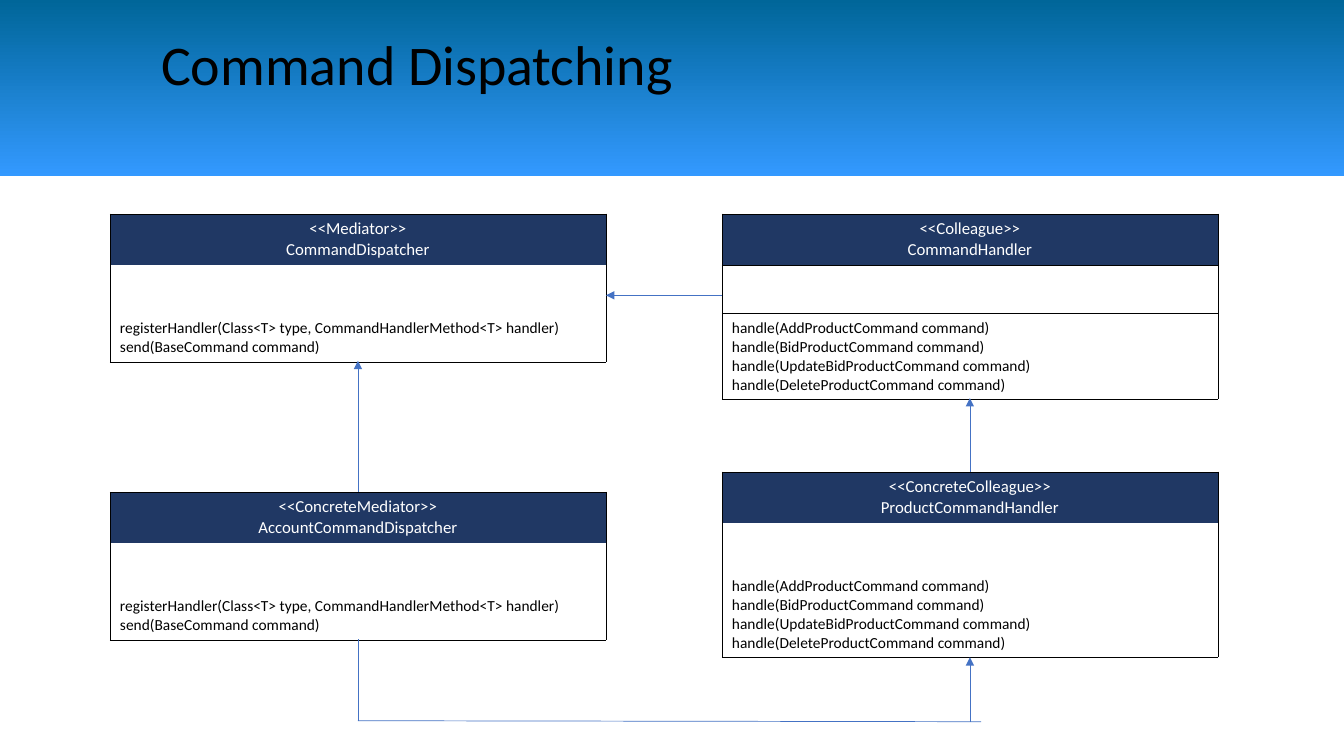
from dataclasses import dataclass

from lxml import etree
from pptx import Presentation
from pptx.dml.color import RGBColor
from pptx.enum.shapes import MSO_CONNECTOR, MSO_SHAPE
from pptx.enum.text import PP_ALIGN
from pptx.oxml import parse_xml
from pptx.oxml.ns import nsdecls, qn
from pptx.util import Inches, Pt

RECT = MSO_SHAPE.RECTANGLE
STRAIGHT = MSO_CONNECTOR.STRAIGHT
LEFT, CENTER = PP_ALIGN.LEFT, PP_ALIGN.CENTER


@dataclass(frozen=True)
class Theme:
    font: str = "Calibri"
    black: str = "000000"
    white: str = "FFFFFF"
    header: str = "203864"
    arrow: str = "4472C4"
    band_top: str = "006699"
    band_bottom: str = "3399FF"
    title_size: int = 40
    header_size: int = 12
    method_size: int = 11
    border_width: float = 0.06
    arrow_width: float = 0.5


THEME = Theme()

# Class boxes: shared width, compartment heights and columns
BOX_W = 4.92
HEADER_H, FIELDS_H = 0.51, 0.48
LEFT_X, RIGHT_X = 1.09, 7.16
LEFT_MID, RIGHT_MID = LEFT_X + BOX_W / 2, RIGHT_X + BOX_W / 2
DISPATCH_METHODS = [
    "registerHandler(Class<T> type, CommandHandlerMethod<T> handler)",
    "send(BaseCommand command)",
]
HANDLE_METHODS = [
    f"handle({action}ProductCommand command)"
    for action in ("Add", "Bid", "UpdateBid", "Delete")
]


def write_text(tf, lines, size, color, align=LEFT, spacing=None):
    for i, line in enumerate(lines):
        p = tf.paragraphs[0] if i == 0 else tf.add_paragraph()
        p.alignment = align
        if spacing:
            p.line_spacing = spacing
        r = p.add_run()
        r.text = line
        r.font.name = THEME.font
        r.font.size = Pt(size)
        r.font.color.rgb = RGBColor.from_string(color)


def add_band(slide, width, height):
    sp = slide.shapes.add_shape(RECT, 0, 0, width, height)
    sp.shadow.inherit = False
    sp.line.fill.background()
    sp.fill.gradient()
    sp.fill.gradient_angle = 90
    for stop, color in zip(sp.fill.gradient_stops,
                           (THEME.band_bottom, THEME.band_top)):
        stop.color.rgb = RGBColor.from_string(color)


def add_title(slide, text):
    sp = slide.shapes.add_textbox(Inches(1.5), Inches(0.32),
                                  Inches(10.82), Inches(1.13))
    tf = sp.text_frame
    tf.word_wrap = True
    write_text(tf, [text], THEME.title_size, THEME.black, spacing=0.9)


def set_borders(cell, sides):
    """Draw the named sides (L, R, T, B) and clear the others."""
    tc_pr = cell._tc.get_or_add_tcPr()
    for i, side in enumerate("LRTB"):
        fill = (f'<a:solidFill><a:srgbClr val="{THEME.black}"/></a:solidFill>'
                if side in sides else "<a:noFill/>")
        tc_pr.insert(i, parse_xml(
            f'<a:ln{side} {nsdecls("a")} w="{Pt(THEME.border_width)}">'
            f'{fill}</a:ln{side}>'))


def add_class_box(slide, x, y, stereotype, name, methods, methods_h,
                  divided=False):
    heights = (HEADER_H, FIELDS_H, methods_h)
    frame = slide.shapes.add_table(3, 1, Inches(x), Inches(y),
                                   Inches(BOX_W), Inches(sum(heights)))
    table = frame.table
    table.first_row = table.horz_banding = False
    for row, height in zip(table.rows, heights):
        row.height = Inches(height)
    header, fields, body = (table.cell(i, 0) for i in range(3))

    header.fill.solid()
    header.fill.fore_color.rgb = RGBColor.from_string(THEME.header)
    fields.fill.background()
    body.fill.background()
    write_text(header.text_frame, [f"<<{stereotype}>>", name],
               THEME.header_size, THEME.white, align=CENTER)
    write_text(body.text_frame, methods, THEME.method_size, THEME.black)

    set_borders(header, "LRTB" if divided else "LRT")
    set_borders(fields, "LRTB" if divided else "LR")
    set_borders(body, "LRTB" if divided else "LRB")


def add_line(slide, start, end, arrow=False):
    x1, y1, x2, y2 = (Inches(v) for v in (*start, *end))
    cxn = slide.shapes.add_connector(STRAIGHT, x1, y1, x2, y2)
    cxn.line.color.rgb = RGBColor.from_string(THEME.arrow)
    cxn.line.width = Pt(THEME.arrow_width)
    if arrow:
        ln = cxn.line._get_or_add_ln()
        etree.SubElement(ln, qn("a:tailEnd"), type="triangle")
    etree.SubElement(cxn._element.spPr, qn("a:effectLst"))


def main():
    prs = Presentation()
    prs.slide_width, prs.slide_height = Inches(13.33), Inches(7.5)
    slide = prs.slides.add_slide(prs.slide_layouts[6])

    # Heading
    add_band(slide, prs.slide_width, Inches(1.75))
    add_title(slide, "Command Dispatching")

    # Class boxes
    add_class_box(slide, LEFT_X, 2.12, "Mediator", "CommandDispatcher",
                  DISPATCH_METHODS, 0.48)
    add_class_box(slide, RIGHT_X, 2.12, "Colleague", "CommandHandler",
                  HANDLE_METHODS, 0.85, divided=True)
    add_class_box(slide, RIGHT_X, 4.68, "ConcreteColleague",
                  "ProductCommandHandler", HANDLE_METHODS, 0.85)
    add_class_box(slide, LEFT_X, 4.88, "ConcreteMediator",
                  "AccountCommandDispatcher", DISPATCH_METHODS, 0.48)

    # Relations between the classes
    add_line(slide, (RIGHT_X, 2.93), (LEFT_X + BOX_W, 2.93), arrow=True)
    add_line(slide, (LEFT_MID, 4.88), (LEFT_MID, 3.58), arrow=True)
    add_line(slide, (RIGHT_MID, 4.68), (RIGHT_MID, 3.95), arrow=True)

    # Route from the concrete mediator to the concrete colleague
    add_line(slide, (LEFT_MID, 6.34), (LEFT_MID, 7.15))
    add_line(slide, (LEFT_MID, 7.15), (9.73, 7.16))
    add_line(slide, (RIGHT_MID, 7.16), (RIGHT_MID, 6.52), arrow=True)

    prs.save("out.pptx")


if __name__ == "__main__":
    main()
